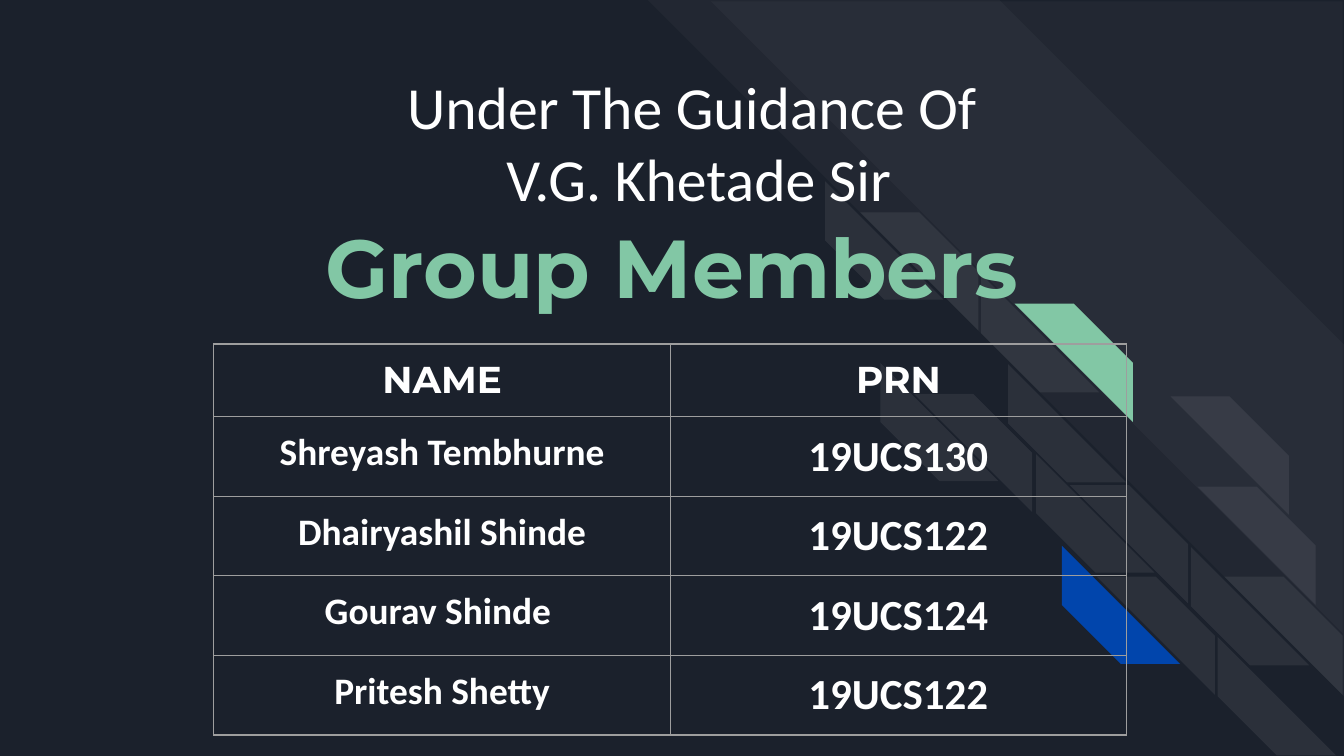
import pptx
import pptx.util
import pptx.dml.color
import pptx.enum.shapes
import pptx.enum.text
import pptx.oxml.ns
from dataclasses import dataclass
from lxml import etree

# Content
GUIDANCE = ["Under The Guidance Of ", "V.G. Khetade Sir"]
HEADING = "Group Members"
MEMBERS = [
    ("NAME", "PRN"),
    ("Shreyash Tembhurne", "19UCS130"),
    ("Dhairyashil Shinde", "19UCS122"),
    ("Gourav Shinde ", "19UCS124"),
    ("Pritesh Shetty", "19UCS122"),
]


@dataclass(frozen=True)
class Theme:
    background: str = "1B212C"
    white: str = "FFFFFF"
    green: str = "82C7A5"
    blue: str = "0145AC"
    border: str = "9E9E9E"
    heading_font: str = "Montserrat"
    body_font: str = "Calibri"
    heading_size: int = 44
    guidance_size: int = 32
    name_size: int = 20
    prn_size: int = 23
    border_width: float = 0.75


THEME = Theme()
WIDTH = 10
HEIGHT = WIDTH * 9 / 16
BRICK = 0.88

# Wide bands: left, top, side, stripe share
BANDS = [(4.82, 0, 5.18, 0.495), (5.29, 0.01, 4.7, 0)]
# Bricks: left, top, turned (else mirrored), colour (None for a faint tint)
BRICKS = [
    (6.14, 1.35, True, None), (6.4, 1.58, False, None),
    (6.55, 2.7, True, None), (6.8, 2.93, False, None),
    (7.3, 2.04, True, None), (7.55, 2.26, False, THEME.green),
    (7.5, 2.71, True, None), (8.71, 2.95, False, None),
    (8.91, 3.62, False, None), (7.71, 3.38, True, None),
    (7.96, 3.61, False, None), (7.9, 4.06, True, THEME.blue),
    (8.16, 4.29, False, None), (8.86, 4.07, True, None),
    (9.11, 4.29, False, None), (9.06, 4.74, True, None),
]

inch = pptx.util.Inches
qn = pptx.oxml.ns.qn
CENTER = pptx.enum.text.PP_ALIGN.CENTER


def rgb(value):
    return pptx.dml.color.RGBColor.from_string(value)


def add_run(paragraph, text, font, size, color, bold=False):
    paragraph.alignment = CENTER
    run = paragraph.add_run()
    run.text = text
    run.font.name = font
    run.font.size = pptx.util.Pt(size)
    run.font.bold = bold
    run.font.color.rgb = rgb(color)


def set_margins(holder):
    holder.margin_left = holder.margin_right = inch(0.1)
    holder.margin_top = holder.margin_bottom = inch(0.1)


def add_stripe(slide, left, top, side, share, rotation=0, color=None, opacity=100):
    stripe = slide.shapes.add_shape(
        pptx.enum.shapes.MSO_SHAPE.DIAGONAL_STRIPE,
        inch(left), inch(top), inch(side), inch(side))
    stripe.adjustments[0] = share
    stripe.shadow.inherit = False
    stripe.line.fill.background()
    stripe.fill.solid()
    stripe.fill.fore_color.rgb = rgb(color or THEME.white)
    if opacity < 100:
        tint = stripe.element.spPr.find(".//" + qn("a:srgbClr"))
        etree.SubElement(tint, qn("a:alpha"), val=str(opacity * 1000))
    if rotation:
        stripe.rotation = rotation
    else:
        stripe.element.spPr.find(qn("a:xfrm")).set("flipH", "1")


def add_borders(cell):
    props = cell._tc.get_or_add_tcPr()
    for side in ("lnL", "lnR", "lnT", "lnB"):
        line = etree.SubElement(props, qn("a:" + side),
                                w=str(pptx.util.Pt(THEME.border_width)))
        fill = etree.SubElement(line, qn("a:solidFill"))
        etree.SubElement(fill, qn("a:srgbClr"), val=THEME.border)


def add_members(slide):
    widths = [3.4, 3.39]
    heights = [0.53] + [0.59] * (len(MEMBERS) - 1)
    heights = [0.52] + [0.57] * (len(MEMBERS) - 1)
    table = slide.shapes.add_table(
        len(MEMBERS), len(widths), inch(1.59), inch(2.56),
        inch(sum(widths)), inch(sum(heights))).table
    table.first_row = table.horz_banding = False
    for column, width in zip(table.columns, widths):
        column.width = inch(width)
    for r, (member, height) in enumerate(zip(MEMBERS, heights)):
        table.rows[r].height = inch(height)
        for c, text in enumerate(member):
            cell = table.cell(r, c)
            set_margins(cell)
            add_borders(cell)
            cell.fill.background()
            font = THEME.body_font if r else THEME.heading_font
            size = THEME.prn_size if r and c else THEME.name_size
            add_run(cell.text_frame.paragraphs[0], text, font, size,
                    THEME.white, bold=True)


def main():
    deck = pptx.Presentation()
    deck.slide_width, deck.slide_height = inch(WIDTH), inch(HEIGHT)
    slide = deck.slides.add_slide(deck.slide_layouts[5])
    slide.background.fill.solid()
    slide.background.fill.fore_color.rgb = rgb(THEME.background)

    # Backdrop of bands and bricks
    for left, top, side, share in BANDS:
        add_stripe(slide, left, top, side, share, rotation=90, opacity=3)
    for left, top, turned, color in BRICKS:
        add_stripe(slide, left, top, BRICK, 0.5, 270 if turned else 0,
                   color, 100 if color else 7)

    # Heading, brought in front of the backdrop
    title = slide.shapes.title
    slide.shapes.element.append(title.element)
    title.left, title.top = inch(0.34), inch(1.59)
    title.width, title.height = inch(WIDTH - 2 * 0.34), inch(0.78)
    frame = title.text_frame
    set_margins(frame)
    frame.auto_size = pptx.enum.text.MSO_AUTO_SIZE.NONE
    frame.vertical_anchor = pptx.enum.text.MSO_ANCHOR.MIDDLE
    add_run(frame.paragraphs[0], HEADING, THEME.heading_font,
            THEME.heading_size, THEME.green, bold=True)

    # Members table
    add_members(slide)

    # Guidance lines
    guidance = slide.shapes.add_textbox(inch(0.95), inch(0.47), inch(8.5), inch(1.18))
    guidance.text_frame.word_wrap = True
    guidance.text_frame.auto_size = pptx.enum.text.MSO_AUTO_SIZE.SHAPE_TO_FIT_TEXT
    paragraph = guidance.text_frame.paragraphs[0]
    for i, text in enumerate(GUIDANCE):
        if i:
            paragraph.add_line_break()
        add_run(paragraph, text, THEME.body_font, THEME.guidance_size, THEME.white)

    deck.save("out.pptx")


if __name__ == "__main__":
    main()
